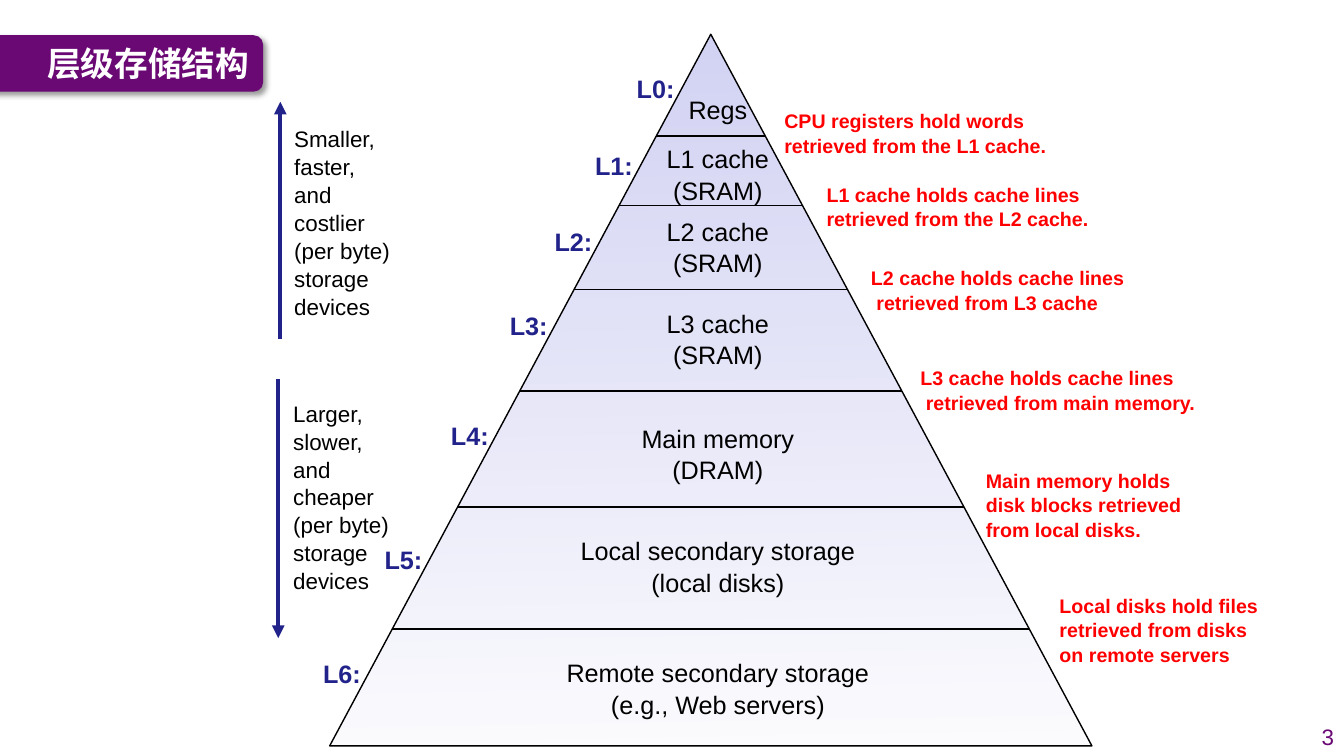
from lxml import etree
from pptx import Presentation
from pptx import util as u
from pptx.dml.color import RGBColor
from pptx.enum import shapes, text
from pptx.oxml import ns

PURPLE = RGBColor(0x6A, 0x08, 0x74)
NAVY = RGBColor(0x22, 0x22, 0x8B)
LAVENDER = RGBColor(0xD2, 0xD2, 0xF4)
RED = RGBColor(0xFF, 0x00, 0x00)
BLACK = RGBColor(0x00, 0x00, 0x00)
WHITE = RGBColor(0xFF, 0xFF, 0xFF)

APEX_X, TOP, HALF_BASE, HEIGHT = 7.05, 0.34, 3.78, 7.06
TEXT_CENTRE = 7.12
LABEL_WIDTH, LABEL_HEIGHT, LABEL_OFFSET = 0.58, 0.4, 0.55

LEVELS = [
    ("Regs", 0.79, 0.88, 0.4, 0.67),
    ("L1 cache\n(SRAM)", 1.23, 1.37, 0.71, 1.44),
    ("L2 cache\n(SRAM)", 1.23, 2.09, 0.71, 2.19),
    ("L3 cache\n(SRAM)", 1.23, 3.0, 0.71, 3.02),
    ("Main memory\n(DRAM)", 1.73, 4.14, 0.71, 4.11),
    ("Local secondary storage\n(local disks)", 2.95, 5.26, 0.71, 5.34),
    ("Remote secondary storage\n(e.g., Web servers)", 3.23, 6.47, 0.71, 6.48),
]
DIVIDERS = [1.35, 2.04, 2.87, 3.88, 5.03, 6.24]
NOTES = [
    ("CPU registers hold words retrieved from the L1 cache.", 7.68, 1.03, 3.19, 0.57),
    ("L1 cache holds cache lines retrieved from the L2 cache.", 8.1, 1.76, 3.1, 0.57),
    ("L2 cache holds cache lines\n retrieved from L3 cache", 8.54, 2.59, 2.88, 0.57),
    ("L3 cache holds cache lines\n retrieved from main memory.", 9.03, 3.58, 3.15, 0.57),
    ("Main memory holds disk blocks retrieved from local disks.", 9.68, 4.6, 2.39, 0.81),
    ("Local disks hold files retrieved from disks\non remote servers", 10.41, 5.84, 2.26, 0.81),
]
TRENDS = [
    ("Smaller,\nfaster,\nand\ncostlier\n(per byte)\nstorage\ndevices", 2.82, 1.21, 2.78, 3.36, 1.01),
    ("Larger,\nslower,\nand\ncheaper\n(per byte)\nstorage\ndevices", 2.81, 3.93, 2.76, 3.76, 6.33),
]


def half_width(y):
    """Return half the pyramid's width at a height on the page."""
    return HALF_BASE * (y - TOP) / HEIGHT


class Painter:
    """Draws styled elements on the current page."""

    def __init__(self, page, font="Arial"):
        """Keep the page and its default font."""
        self.page = page
        self.font = font

    def label(self, words, left, top, width, height, size=18, color=BLACK, bold=False,
              align=text.PP_ALIGN.LEFT, wrap=False, grow=True, font=None, spacing=1.04):
        """Add a text box with one paragraph per line."""
        box = self.page.shapes.add_textbox(*map(u.Inches, (left, top, width, height)))
        frame = box.text_frame
        frame.text = words
        frame.word_wrap = wrap
        frame.vertical_anchor = text.MSO_ANCHOR.MIDDLE
        frame.auto_size = text.MSO_AUTO_SIZE.SHAPE_TO_FIT_TEXT if grow else text.MSO_AUTO_SIZE.NONE
        for para in frame.paragraphs:
            para.alignment = align
            para.line_spacing = spacing
            for span in para.runs:
                span.font.name = font or self.font
                span.font.size = u.Pt(size)
                span.font.bold = bold
                span.font.color.rgb = color
                if font:
                    east = etree.SubElement(span.font._element, ns.qn("a:ea"))
                    east.set("typeface", font)

    def line(self, x1, y1, x2, y2, color=BLACK, width=1, arrow=False):
        """Add a straight line, with an arrowhead at its end if asked."""
        link = self.page.shapes.add_connector(
            shapes.MSO_CONNECTOR.STRAIGHT, *map(u.Inches, (x1, y1, x2, y2)))
        link.line.color.rgb = color
        link.line.width = u.Pt(width)
        properties = link._element.spPr
        if arrow:
            etree.SubElement(properties.find(ns.qn("a:ln")), ns.qn("a:tailEnd"), type="triangle")
        etree.SubElement(properties, ns.qn("a:effectLst"))

    def shape(self, kind, left, top, width, height):
        """Add a preset shape without a shadow."""
        shape = self.page.shapes.add_shape(kind, *map(u.Inches, (left, top, width, height)))
        shape.shadow.inherit = False
        return shape

    def banner(self, left, top, width, height):
        """Add the rounded title banner with a soft shadow."""
        banner = self.shape(shapes.MSO_SHAPE.ROUNDED_RECTANGLE, left, top, width, height)
        banner.fill.solid()
        banner.fill.fore_color.rgb = PURPLE
        banner.line.fill.background()
        effects = banner._element.spPr.find(ns.qn("a:effectLst"))
        shadow = etree.SubElement(effects, ns.qn("a:outerShdw"), blurRad=str(u.Pt(4)),
                                  dist=str(u.Pt(3)), dir="2700000", algn="tl", rotWithShape="0")
        color = etree.SubElement(shadow, ns.qn("a:srgbClr"), val=str(BLACK))
        etree.SubElement(color, ns.qn("a:alpha"), val="40000")

    def pyramid(self):
        """Add the triangle that fades towards its base."""
        pyramid = self.shape(shapes.MSO_SHAPE.ISOSCELES_TRIANGLE,
                             APEX_X - HALF_BASE, TOP, 2 * HALF_BASE, HEIGHT)
        pyramid.fill.gradient()
        pyramid.fill.gradient_angle = 91
        for stop, position in zip(pyramid.fill.gradient_stops, (0, 1)):
            stop.position = position
            stop.color.rgb = LAVENDER
        base = pyramid._element.spPr.find(".//" + ns.qn("a:srgbClr"))
        etree.SubElement(base, ns.qn("a:alpha"), val="7000")
        pyramid.line.color.rgb = BLACK
        pyramid.line.width = u.Pt(1)


def main():
    """Build the memory hierarchy slide."""
    deck = Presentation()
    deck.slide_width, deck.slide_height = u.Inches(13.33), u.Inches(7.5)
    painter = Painter(deck.slides.add_slide(deck.slide_layouts[6]))

    painter.banner(-0.2, 0.35, 2.81, 0.56)
    painter.label("层级存储结构", 0.37, 0.35, 2.24, 0.55, size=24, color=WHITE, bold=True,
                  grow=False, font="Noto Sans CJK SC", spacing=1.0)
    painter.label("3", 12.78, 7.1, 0.55, 0.4, size=16, color=PURPLE,
                  align=text.PP_ALIGN.RIGHT, wrap=True, grow=False)

    painter.pyramid()
    for y in DIVIDERS:
        painter.line(APEX_X - half_width(y), y, APEX_X + half_width(y), y)
    for number, (words, width, top, height, label_top) in enumerate(LEVELS):
        painter.label(words, TEXT_CENTRE - width / 2, top, width, height,
                      align=text.PP_ALIGN.CENTER)
        edge = APEX_X - half_width(label_top + LABEL_HEIGHT / 2)
        painter.label(f"L{number}:", edge - LABEL_OFFSET, label_top, LABEL_WIDTH, LABEL_HEIGHT,
                      color=NAVY, bold=True)
    for words, left, top, width, height in NOTES:
        painter.label(words, left, top, width, height, size=14, color=RED, bold=True, wrap=True)
    for words, left, top, arrow_x, start, end in TRENDS:
        painter.label(words, left, top, 1.16, 1.99, size=16)
        painter.line(arrow_x, start, arrow_x, end, color=NAVY, width=3, arrow=True)

    deck.save("out.pptx")


if __name__ == "__main__":
    main()
